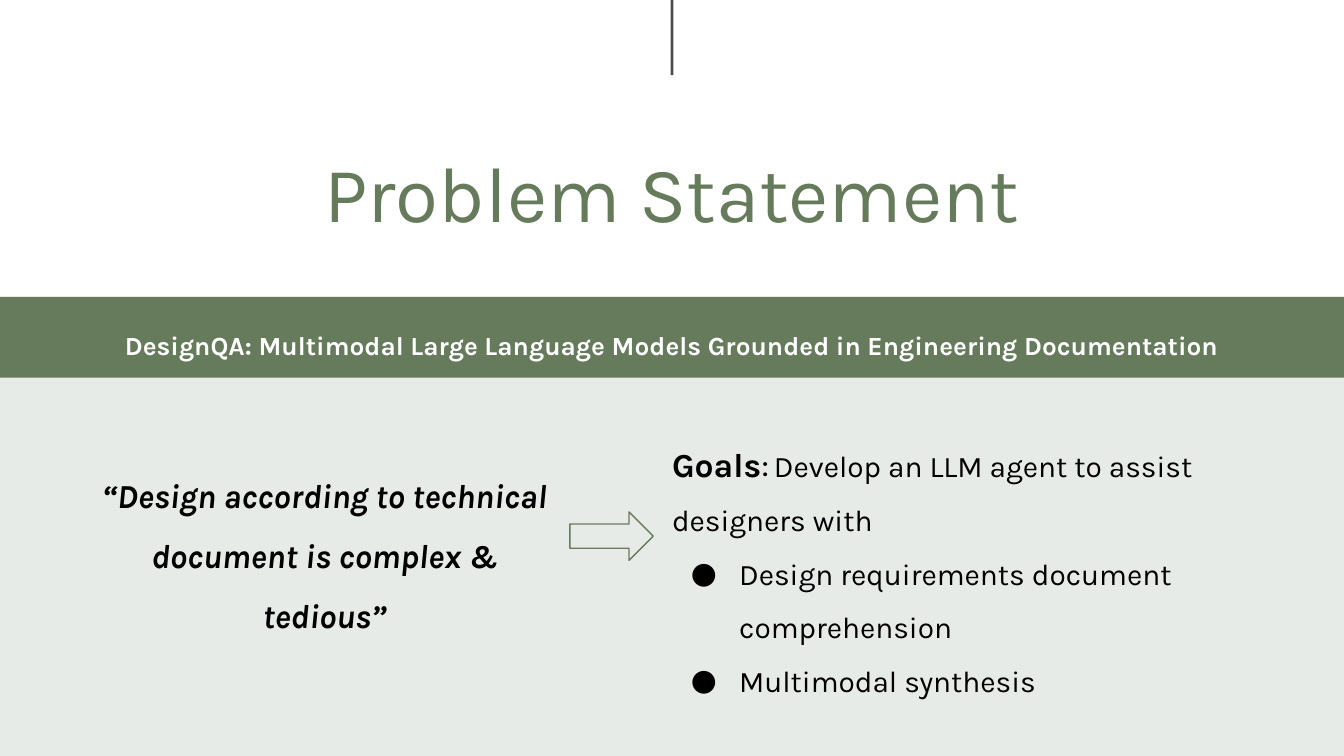
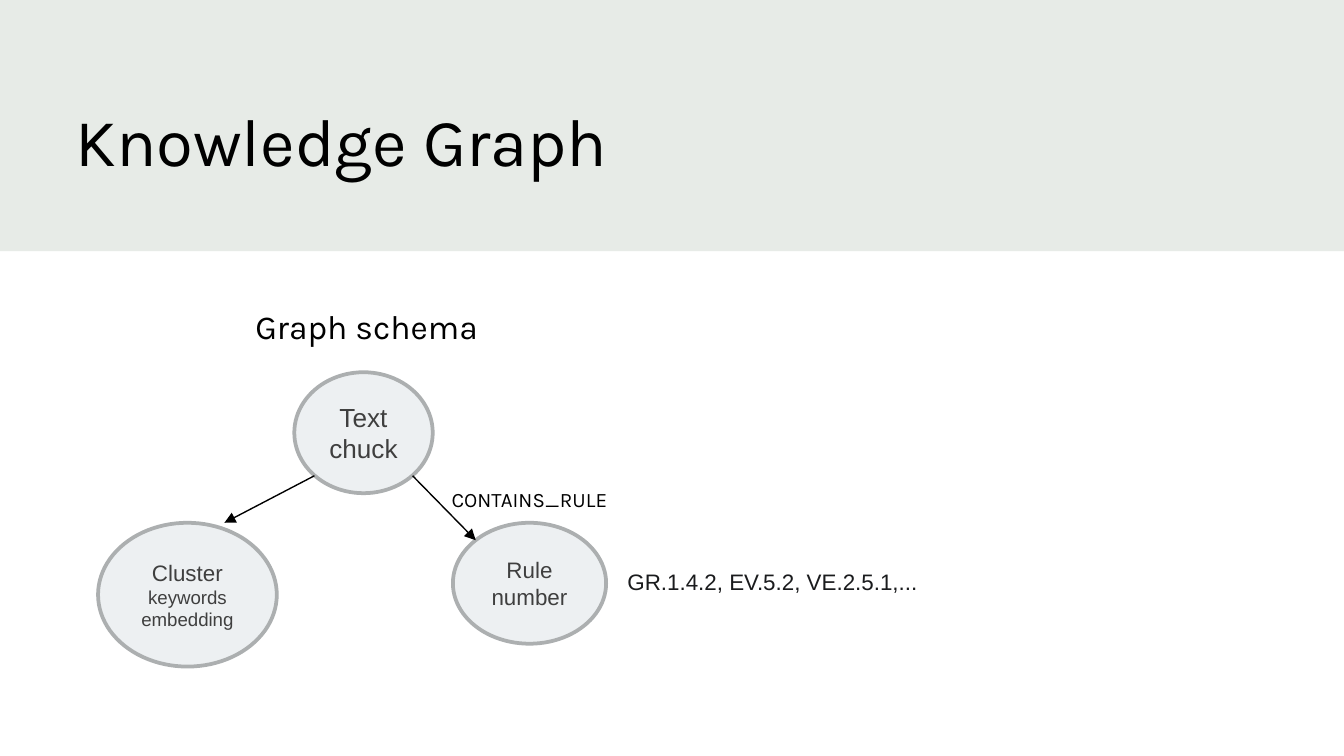
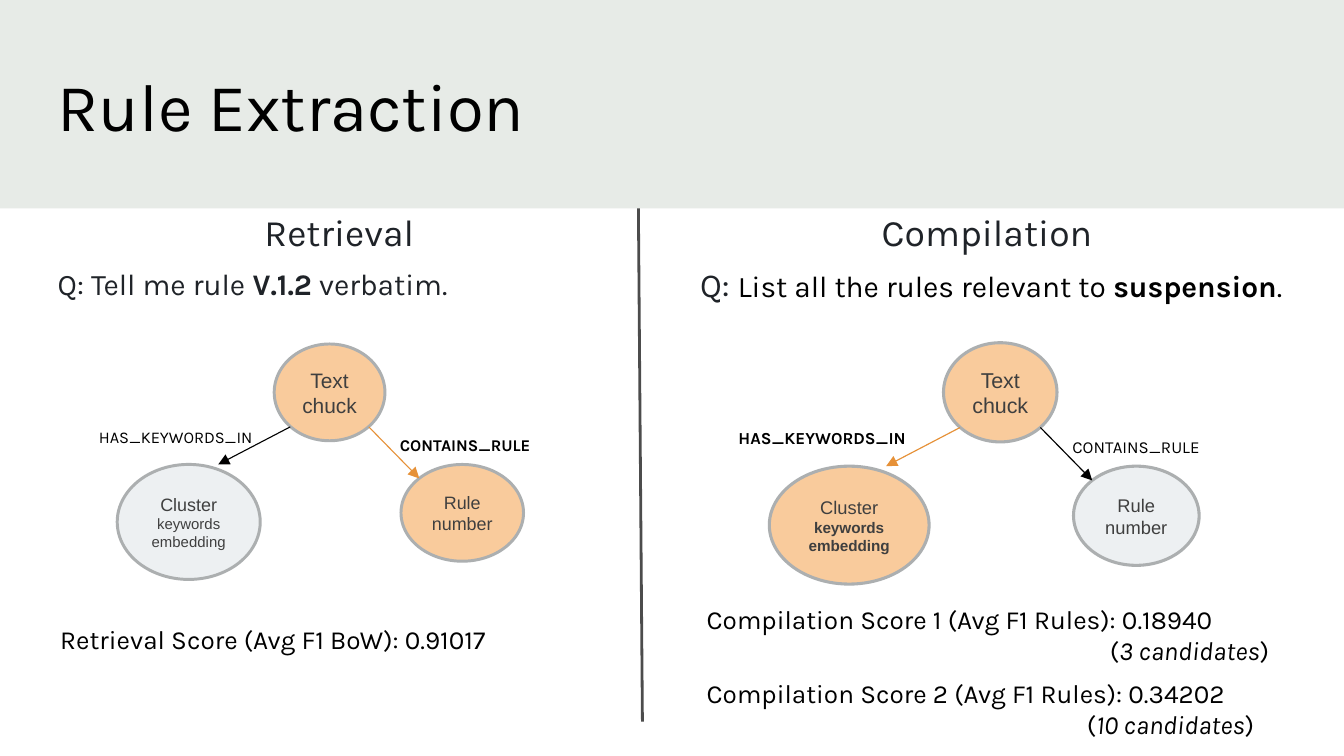
from lxml.etree import SubElement
from pptx import Presentation
from pptx.dml.color import RGBColor
from pptx.enum.shapes import MSO_CONNECTOR, MSO_SHAPE
from pptx.enum.text import MSO_ANCHOR, MSO_AUTO_SIZE, PP_ALIGN
from pptx.oxml.ns import qn
from pptx.util import Inches, Pt


class Theme:
    font, node_font = "Karla", "Arial"
    black, white = RGBColor(0, 0, 0), RGBColor(255, 255, 255)
    green, pale = RGBColor(0x66, 0x7B, 0x5C), RGBColor(0xE7, 0xEB, 0xE7)
    ink, code = RGBColor(0x1F, 0x23, 0x28), RGBColor(0x1A, 0x1B, 0x1D)
    node, node_on = RGBColor(0xED, 0xF0, 0xF2), RGBColor(0xF9, 0xCB, 0x9C)
    node_line, node_text = RGBColor(0xAC, 0xAF, 0xB0), RGBColor(0x3F, 0x3F, 0x3F)
    edge_on = RGBColor(0xE6, 0x91, 0x38)
    cover, title, heading, large, body, small = 42, 36, 20, 18, 16, 14
    caption, label, detail = 12, 11, 10


T = Theme
LEFT, CENTER = PP_ALIGN.LEFT, PP_ALIGN.CENTER


def write(sp, paras, size, color=T.black, font=T.font, align=LEFT, spacing=None,
          margins=(0, 0), bold=False, italic=False, grow=True):
    """Fill a shape with paragraphs, each a list of (text, run overrides)."""
    tf = sp.text_frame
    tf.word_wrap = True
    tf.auto_size = MSO_AUTO_SIZE.SHAPE_TO_FIT_TEXT if grow else MSO_AUTO_SIZE.NONE
    tf.vertical_anchor = MSO_ANCHOR.TOP if grow else MSO_ANCHOR.MIDDLE
    tf.margin_left = tf.margin_right = Inches(margins[0])
    tf.margin_top = tf.margin_bottom = Inches(margins[1])
    for i, runs in enumerate(paras):
        p = tf.add_paragraph() if i else tf.paragraphs[0]
        p.alignment = align
        if spacing:
            p.line_spacing = spacing
        for text, style in runs:
            r = p.add_run()
            r.text = text
            r.font.name = font
            r.font.size = Pt(style.get("size", size))
            r.font.bold = style.get("bold", bold)
            r.font.italic = style.get("italic", italic)
            r.font.color.rgb = style.get("color", color)
    return tf


def add_line(s, x1, y1, x2, y2, color=T.black, width=1.5, opacity=None, arrow=False):
    line = s.shapes.add_connector(MSO_CONNECTOR.STRAIGHT, Inches(x1), Inches(y1),
                                  Inches(x2), Inches(y2))
    line.line.color.rgb = color
    line.line.width = Pt(width)
    ln = line.line._get_or_add_ln()
    if opacity:
        clr = ln.find(qn("a:solidFill")).find(qn("a:srgbClr"))
        SubElement(clr, qn("a:alpha"), val=str(opacity * 1000))
    if arrow:
        SubElement(ln, qn("a:tailEnd"), type="triangle")
    SubElement(line._element.spPr, qn("a:effectLst"))


prs = Presentation()
prs.slide_width = Inches(10)
prs.slide_height = prs.slide_width * 9 // 16

# Slides with their bands (top, height, fill) and titles
pages = [
    ("Problem Statement", (0.56, 0.93, 8.88, 0.71), T.cover, T.green, CENTER, 1.2,
     [(2.21, 3.42, T.pale), (2.21, 0.6, T.green)]),
    ("Knowledge Graph", (0.56, 0.62, 4.24, 0.61), T.title, T.black, LEFT, 1.2,
     [(-0.03, 1.9, T.pale)]),
    ("Rule Extraction", (0.43, 0.33, 9.14, 1.18), T.title, T.black, LEFT, 1.25,
     [(-0.03, 1.58, T.pale)]),
]
for text, box, size, color, align, spacing, bands in pages:
    s = prs.slides.add_slide(prs.slide_layouts[5])
    for top, height, fill in bands:
        band = s.shapes.add_shape(MSO_SHAPE.RECTANGLE, 0, Inches(top),
                                  prs.slide_width, Inches(height))
        band.shadow.inherit = False
        band.fill.solid()
        band.fill.fore_color.rgb = fill
        band.line.fill.background()
    title = s.shapes.title
    title.left, title.top, title.width, title.height = map(Inches, box)
    write(title, [[(text, {})]], size, color, align=align, spacing=spacing)
    s.shapes._spTree.append(title._element)  # in front of the bands

problem, schema, extraction = prs.slides

# Problem statement: quote, arrow, goals
add_line(problem, 5, 0, 5, 0.56, opacity=69)
sp = problem.shapes.add_textbox(Inches(0.73), Inches(3.38), Inches(3.37), Inches(1.21))
write(sp, [[("“Design according to technical document is complex & tedious”", {})]],
      T.large, align=CENTER, spacing=1.5, bold=True, italic=True)
sp = problem.shapes.add_textbox(Inches(0.56), Inches(2.38), Inches(8.88), Inches(0.24))
write(sp, [[("DesignQA: Multimodal Large Language Models Grounded in "
             "Engineering Documentation", {})]],
      T.small, T.white, align=CENTER, spacing=1.3, bold=True)
sp = problem.shapes.add_textbox(Inches(5), Inches(3.15), Inches(4.69), Inches(1.94))
tf = write(sp, [
    [("Goals", {"size": T.large, "bold": True}), (":", {"size": T.large}),
     (" ", {"size": T.label}), ("Develop an LLM agent to assist designers with", {})],
    [("Design requirements document comprehension", {})],
    [("Multimodal synthesis", {})],
], T.body, spacing=1.5)
for p in tf.paragraphs[1:]:
    pPr = p._p.get_or_add_pPr()
    pPr.set("marL", str(Inches(0.5)))
    pPr.set("indent", str(Inches(-0.36)))
    SubElement(SubElement(pPr, qn("a:buClr")), qn("a:srgbClr"), val=str(T.black))
    SubElement(pPr, qn("a:buSzPts"), val=str(T.body * 100))
    SubElement(pPr, qn("a:buFont"), typeface=T.font)
    SubElement(pPr, qn("a:buChar"), char="●")
arrow = problem.shapes.add_shape(MSO_SHAPE.RIGHT_ARROW, Inches(4.24), Inches(3.81),
                                 Inches(0.62), Inches(0.36))
arrow.shadow.inherit = False
arrow.fill.solid()
arrow.fill.fore_color.rgb = T.pale
arrow.line.color.rgb = T.green
arrow.line.width = Pt(0.75)

# Knowledge graph: heading and sample rule numbers
sp = schema.shapes.add_textbox(Inches(1.9), Inches(2.28), Inches(1.98), Inches(0.3))
write(sp, [[("Graph schema", {})]], T.large)
sp = schema.shapes.add_textbox(Inches(4.57), Inches(4.13), Inches(3.49), Inches(0.4))
sp.fill.solid()
sp.fill.fore_color.rgb = T.white
write(sp, [[("GR.1.4.2, EV.5.2, VE.2.5.1,...", {})]], T.caption, T.code, T.node_font,
      margins=(0.1, 0.1))

# Graphs: slide, left and top of the text node, scale, highlighted nodes,
# cluster width, offset of the keyword label (None for no label)
graphs = [
    (schema, 2.19, 2.77, 1, (), 1.33, None),
    (extraction, 2.04, 2.56, 0.8, ("text", "rule"), 1.33, -1.63),
    (extraction, 7.02, 2.55, 0.82, ("text", "cluster"), 1.45, -1.86),
]
for s, x, y, k, lit, cluster_w, keyword_dx in graphs:
    nodes = [
        ("text", 0, 0, 1.03, 0.9, [("Text chuck", {"size": T.small * k})]),
        ("cluster", -0.13 - cluster_w, 1.12, cluster_w, 1.07,
         [("Cluster ", {}), ("keywords embedding",
                             {"size": T.detail * k, "bold": "cluster" in lit})]),
        ("rule", 1.18, 1.12, 1.14, 0.9, [("Rule number", {})]),
    ]
    for name, dx, dy, w, h, runs in nodes:
        node = s.shapes.add_shape(MSO_SHAPE.OVAL, Inches(x + k * dx), Inches(y + k * dy),
                                  Inches(k * w), Inches(k * h))
        node.shadow.inherit = False
        node.fill.solid()
        node.fill.fore_color.rgb = T.node_on if name in lit else T.node
        node.line.color.rgb = T.node_line
        node.line.width = Pt(2 * k)
        write(node, [runs], T.caption * k, T.node_text, T.node_font, CENTER,
              margins=(0.1 * k, 0.05 * k), grow=False)

    edges = [
        ("cluster", 0.15, 0.77, -0.52, 1.12, "HAS_KEYWORDS_IN", keyword_dx, 0.77),
        ("rule", 0.88, 0.77, 1.35, 1.25, "CONTAINS_RULE", 1.17, 0.85),
    ]
    for target, x1, y1, x2, y2, text, dx, dy in edges:
        on = target in lit
        add_line(s, x + k * x1, y + k * y1, x + k * x2, y + k * y2,
                 T.edge_on if on else T.black, 0.75 * k, arrow=True)
        if dx is not None:
            sp = s.shapes.add_textbox(Inches(x + k * dx), Inches(y + k * dy),
                                      Inches(1.5 * k), Inches(0.19 * k))
            write(sp, [[(text, {})]], T.label * k, bold=on)
            if target == "cluster":
                sp.width = Inches(k * cluster_w * 1.2)

# Rule extraction: divider, column headings and questions
add_line(extraction, 4.78, 5.37, 4.75, 1.55, opacity=69)
columns = [
    ("Retrieval", 0.35, 4.35, (0.43, 1.91, 4.27, 0.27),
     [("Q: Tell me rule ", {}), ("V.1.2", {"bold": True}), (" verbatim.", {})], T.ink),
    ("Compilation", 5.31, 4.07, (5.21, 1.89, 4.6, 0.3),
     [("Q: ", {"size": T.large, "color": T.ink}),
      ("List all the rules relevant to ", {}), ("suspension", {"bold": True}),
      (".", {})], T.black),
]
for heading, left, width, box, question, color in columns:
    sp = extraction.shapes.add_textbox(Inches(left), Inches(1.47), Inches(width), Inches(0.34))
    write(sp, [[(heading, {})]], T.heading, T.ink, align=CENTER, spacing=1.25)
    sp = extraction.shapes.add_textbox(*map(Inches, box))
    write(sp, [question], T.body, color, spacing=1.25)

# Scores, with the candidate count indented on a second line
scores = [
    ("Retrieval Score (Avg F1 BoW): 0.91017", 0.35, 4.54, 4.07, 0.44, None, 0),
    ("Compilation Score 1 (Avg F1 Rules): 0.18940", 5.16, 4.39, 4.6, 0.67,
     "3 candidates", 3),
    ("Compilation Score 2 (Avg F1 Rules): 0.34202", 5.16, 4.94, 4.6, 0.67,
     "10 candidates", 2.83),
]
for score, left, top, width, height, count, indent in scores:
    paras = [[(score, {})]]
    if count:
        paras.append([("(", {}), (count, {"italic": True}), (")", {})])
    sp = extraction.shapes.add_textbox(Inches(left), Inches(top), Inches(width), Inches(height))
    tf = write(sp, paras, T.small, margins=(0.1, 0.1))
    for p in tf.paragraphs[1:]:
        p._p.get_or_add_pPr().set("marL", str(Inches(indent)))

prs.save("out.pptx")
